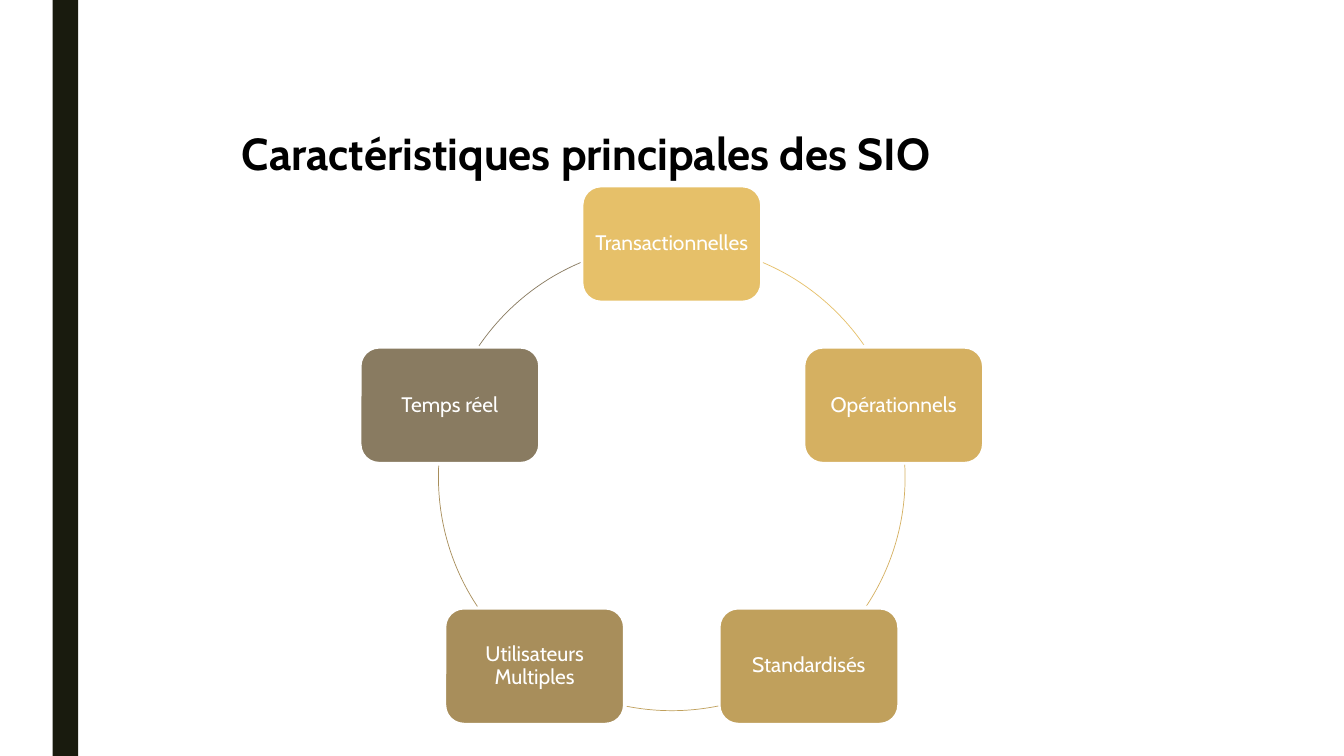
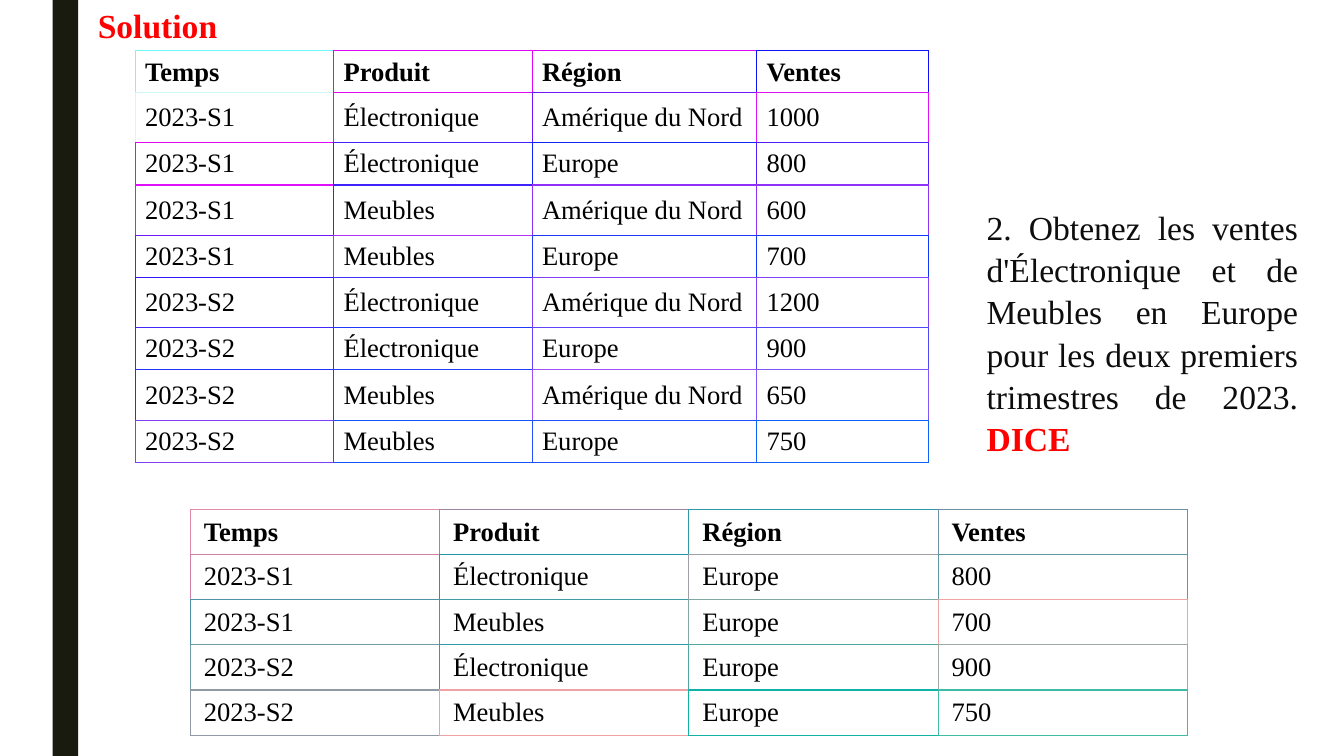
from dataclasses import dataclass
from math import cos, radians, sin

from lxml import etree
from pptx import Presentation
from pptx.dml.color import RGBColor
from pptx.enum.shapes import MSO_SHAPE
from pptx.enum.text import MSO_ANCHOR, MSO_AUTO_SIZE, PP_ALIGN
from pptx.oxml.ns import qn
from pptx.util import Cm, Pt

RECT, ROUND, ARC = MSO_SHAPE.RECTANGLE, MSO_SHAPE.ROUNDED_RECTANGLE, MSO_SHAPE.ARC
TOP, MIDDLE, BOTTOM = MSO_ANCHOR.TOP, MSO_ANCHOR.MIDDLE, MSO_ANCHOR.BOTTOM
LEFT, CENTER, JUSTIFY = PP_ALIGN.LEFT, PP_ALIGN.CENTER, PP_ALIGN.JUSTIFY
FIXED = MSO_AUTO_SIZE.NONE

COLORS = {"bar": "191B0E", "black": "000000", "ink": "0D0D0D",
          "red": "FF0000", "white": "FFFFFF"}
SERIF = "Times New Roman"
FORMATS = {
    "title": {"name": "Cabin", "size": Pt(32), "bold": True},
    "head": {"name": SERIF, "size": Pt(24), "bold": True},
    "body": {"name": SERIF, "size": Pt(24), "bold": False},
    "node": {"name": "Cabin", "size": Pt(15), "bold": False},
    "top": {"name": SERIF, "size": Pt(19), "bold": True},
    "cell": {"name": SERIF, "size": Pt(19), "bold": False},
}


@dataclass(frozen=True)
class Box:
    left: float
    top: float
    width: float
    height: float

    def lengths(self) -> list:
        return [Cm(v) for v in (self.left, self.top, self.width, self.height)]


@dataclass(frozen=True)
class Node:
    text: str
    color: str
    start: float
    end: float


@dataclass(frozen=True)
class Grid:
    left: float
    top: float
    cols: list
    rows: list
    inset: tuple
    data: list
    lines: list
    fill: str = ""


NODES = [
    Node("Transactionnelles", "E6C069", 293, 325.7),
    Node("Opérationnels", "D5B061", 356.9, 33.6),
    Node("Standardisés", "C0A05C", 78.5, 101.5),
    Node("Utilisateurs Multiples", "A88E5B", 146.4, 183.1),
    Node("Temps réel", "897B61", 214.3, 247),
]
HEAD = ("Temps", "Produit", "Région", "Ventes")
SALES = [
    ("2023-S1", "Électronique", "Amérique du Nord", "1000"),
    ("2023-S1", "Électronique", "Europe", "800"),
    ("2023-S1", "Meubles", "Amérique du Nord", "600"),
    ("2023-S1", "Meubles", "Europe", "700"),
    ("2023-S2", "Électronique", "Amérique du Nord", "1200"),
    ("2023-S2", "Électronique", "Europe", "900"),
    ("2023-S2", "Meubles", "Amérique du Nord", "650"),
    ("2023-S2", "Meubles", "Europe", "750"),
]
CUBE = Grid(
    3.41, 1.27, [5, 5, 5.66, 4.34], [1.06, 1.27] * 4 + [1.06], (0.25, 0.13),
    [HEAD] + SALES,
    ["70FAF9 E005FA E005FA 100FFA", "D0FAF9 E008FA 7015FA E011FA",
     "E008FA 4021FA 1024FA 501DFA", "E011FA 4021FA 902EFA 9031FA",
     "7015FA B02FFA 2038FA 1039FA", "3016FA 4033FA 803EFA 8041FA",
     "4027FA 2038FA 6043FA 5047FA", "2032FA 2041FA A04EFA 8056FA",
     "803EFA 1054FA 2050FA 1060FA"])
DICE = Grid(
    4.8, 12.83, [6.28] * 4, [1.14] * 5, (0.34, 0.17),
    [HEAD] + [row for row in SALES if row[2] == "Europe"],
    ["E08CA5 A084A5 3097A5 7090A5", "D081A5 2098A5 A09FA5 6098A4",
     "5092A5 409AA4 80A8A4 F0A4A4", "709CA5 309BA4 50A8A4 A0A9A4",
     "909AA5 F0A1A4 10B2A4 40BBA4"],
    COLORS["white"])


def style(font, kind: str, color: str) -> None:
    for key, value in FORMATS[kind].items():
        setattr(font, key, value)
    font.color.rgb = RGBColor.from_string(color)


def place(shape, box: Box) -> None:
    for key, value in zip(("left", "top", "width", "height"), box.lengths()):
        setattr(shape, key, value)


def write(para, text: str, kind: str, color: str) -> None:
    run = para.add_run()
    run.text = text
    style(run.font, kind, color)


def frame(shape, box: Box):
    place(shape, box)
    text = shape.text_frame
    text.word_wrap, text.auto_size, text.vertical_anchor = True, FIXED, TOP
    return text.paragraphs[0]


def title(slide, text: str, box: Box, kind: str, color: str) -> None:
    para = frame(slide.shapes.title, box)
    para.alignment = LEFT
    write(para, text, kind, color)


def shape(slide, kind, box: Box, fill: str = ""):
    item = slide.shapes.add_shape(kind, *box.lengths())
    item.shadow.inherit = False
    if fill:
        item.fill.solid()
        item.fill.fore_color.rgb = RGBColor.from_string(fill)
    else:
        item.fill.background()
    return item


def band(deck, slide) -> None:
    bar = shape(slide, RECT, Box(1.33, 0, 0.64, 19.05), COLORS["bar"])
    bar.line.fill.background()
    bar.element.nvSpPr.cNvPr.set("id", "99")
    deck.slide_master.shapes.element.insert(2, bar.element)


def outline(item, color: str, width: float) -> None:
    item.line.color.rgb = RGBColor.from_string(color)
    item.line.width = Pt(width)


def cycle(slide, nodes: list) -> None:
    mid, axis, ray, wide, high = 16.93, 12.03, 5.88, 4.55, 2.95
    for i, node in enumerate(nodes):
        turn = radians(360 * i / len(nodes) - 90)
        left = mid + ray * cos(turn) - wide / 2
        top = axis + ray * sin(turn) - high / 2
        card = shape(slide, ROUND, Box(left, top, wide, high), node.color)
        outline(card, COLORS["white"], 2.75)
        text = card.text_frame
        text.word_wrap, text.vertical_anchor = True, MIDDLE
        for side in ("left", "top", "right", "bottom"):
            setattr(text, f"margin_{side}", Cm(0.15))
        para = text.paragraphs[0]
        para.alignment, para.line_spacing = CENTER, 0.9
        write(para, node.text, "node", COLORS["white"])
        arc = shape(slide, ARC, Box(mid - ray, axis - ray, 2 * ray, 2 * ray))
        outline(arc, node.color, 0.5)
        for j, angle in enumerate((node.start, node.end)):
            arc.adjustments[j] = angle * 0.6


def border(cell, sides: list) -> None:
    props = cell._tc.get_or_add_tcPr()
    for i, (side, color, width) in enumerate(sides):
        line = etree.Element(qn(f"a:ln{side}"), w=str(Pt(width)))
        fill = etree.SubElement(line, qn("a:solidFill"))
        etree.SubElement(fill, qn("a:srgbClr"), val=color)
        props.insert(i, line)


def table(slide, grid: Grid) -> None:
    box = Box(grid.left, grid.top, sum(grid.cols), sum(grid.rows))
    tab = slide.shapes.add_table(
        len(grid.rows), len(grid.cols), *box.lengths()).table
    tab.first_row = tab.horz_banding = False
    for col, width in zip(tab.columns, grid.cols):
        col.width = Cm(width)
    for row, height in zip(tab.rows, grid.rows):
        row.height = Cm(height)
    lines = [line.split() for line in grid.lines]
    last, end = len(grid.rows) - 1, len(grid.cols) - 1
    for r, row in enumerate(grid.data):
        for c, value in enumerate(row):
            cell = tab.cell(r, c)
            cell.margin_left = cell.margin_right = Cm(grid.inset[0])
            cell.margin_top = cell.margin_bottom = Cm(grid.inset[1])
            cell.vertical_anchor = MIDDLE if r else BOTTOM
            if grid.fill:
                cell.fill.solid()
                cell.fill.fore_color.rgb = RGBColor.from_string(grid.fill)
            else:
                cell.fill.background()
            own = lines[r][c]
            border(cell, [
                ("L", own, 0.75),
                ("R", lines[r][min(c + 1, end)], 0.75),
                ("T", own, 1 if r else 0.75),
                ("B", lines[min(r + 1, last)][c], 1 if r < last else 0.75)])
            write(cell.text_frame.paragraphs[0], value,
                  "cell" if r else "top", COLORS["black"])


def task(slide, box: Box) -> None:
    para = frame(slide.placeholders[1], box)
    props = para._p.get_or_add_pPr()
    props.set("marL", "0")
    props.set("indent", "0")
    etree.SubElement(props, qn("a:buNone"))
    para.alignment, para.line_spacing, para.space_before = JUSTIFY, 1.05, Pt(0)
    write(para, "2. Obtenez les ventes d'Électronique et de Meubles en Europe "
          "pour les deux premiers trimestres de 2023. ", "body", COLORS["ink"])
    write(para, "DICE", "head", COLORS["red"])


def main() -> None:
    deck = Presentation()
    deck.slide_width, deck.slide_height = Cm(33.87), Cm(19.05)
    traits = deck.slides.add_slide(deck.slide_layouts[5])
    band(deck, traits)
    title(traits, "Caractéristiques principales des SIO",
          Box(5.84, 3.05, 18.52, 1.63), "title", COLORS["black"])
    cycle(traits, NODES)
    answer = deck.slides.add_slide(deck.slide_layouts[1])
    title(answer, "Solution", Box(2.21, 0, 3.76, 1.27), "head", COLORS["red"])
    table(answer, CUBE)
    task(answer, Box(24.61, 5.03, 8.36, 7.21))
    table(answer, DICE)
    deck.save("out.pptx")


if __name__ == "__main__":
    main()
